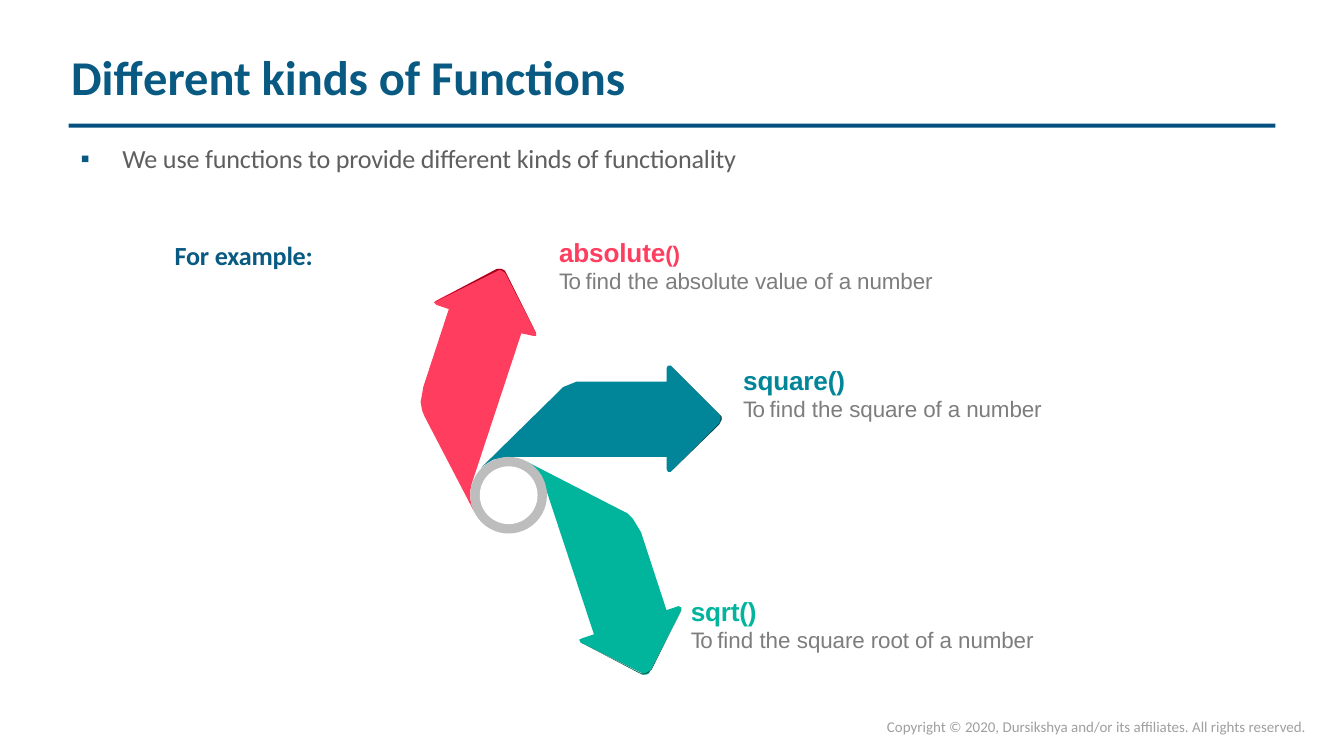
from lxml import etree
from pptx import Presentation, util as u
from pptx.dml.color import RGBColor
from pptx.enum import shapes, text
from pptx.oxml import ns

PX = 9144  # EMU in a px, 100 px to the inch
THEME = dict(
    navy="095A82", rule="045180", body="5F5F5F", note="7D7D7D", foot="9F9F9F",
    teal="008599", red="FF3D5F", green="00B59C",
    teal_edge="00424D", red_edge="9F001A", green_edge="005B4E",
    ring="BDBDBD", white="FFFFFF",
    title=26, head=14, small=12, tiny=8,
)

deck = Presentation()
deck.slide_width = 1000 * PX
deck.slide_height = deck.slide_width * 9 // 16
slide = deck.slides.add_slide(deck.slide_layouts[6])


def paint(shape, tone):
    shape.shadow.inherit = False
    shape.fill.solid()
    shape.fill.fore_color.rgb = RGBColor.from_string(THEME[tone])
    shape.line.fill.background()


def write(words, *, at=None, para=None, size="head", tone="navy", bold=False,
          face="Calibri", track=-10, lead=None, left=2, top=2):
    """Add a run to para, or to a new text box at (left, top, width, height)."""
    if para is None:
        frame = slide.shapes.add_textbox(*(n * PX for n in at)).text_frame
        frame.word_wrap = True
        frame.vertical_anchor = text.MSO_ANCHOR.TOP
        frame.margin_right = frame.margin_bottom = 0
        frame.margin_left, frame.margin_top = left * PX, top * PX
        para = frame.paragraphs[0]
    if lead:
        para.line_spacing = u.Pt(lead)
    run = para.add_run()
    run.text = words
    font = run.font
    font.name, font.size, font.bold = face, u.Pt(THEME[size]), bold
    font.color.rgb = RGBColor.from_string(THEME[tone])
    font._element.set("spc", str(track))
    return para


# Heading, rule and lead-in
write("Different kinds of Functions", at=(51, 33, 419, 46), size="title",
      bold=True, track=-5)
rule = slide.shapes.add_shape(
    shapes.MSO_SHAPE.RECTANGLE, 51 * PX, 92 * PX, 898 * PX, 3 * PX)
paint(rule, "rule")

point = write("We use functions to provide different kinds of functionality",
              at=(58, 105, 495, 26), tone="body", left=0, top=1)
props = point._p.get_or_add_pPr()
props.set("marL", str(33 * PX))
props.set("indent", str(-31 * PX))
tint = etree.SubElement(props, ns.qn("a:buClr"))
etree.SubElement(tint, ns.qn("a:srgbClr"), val=THEME["navy"])
etree.SubElement(props, ns.qn("a:buFont"), typeface="Arial")
etree.SubElement(props, ns.qn("a:buChar"), char="▪")
write("For example:", at=(128, 176, 107, 26), bold=True)

# Arrows, each followed by its dark edge
arrows = [
    ("teal", [(499, 272), (497, 272), (496, 274), (496, 284), (435, 284), (429, 284),
              (424, 286), (419, 288), (415, 292), (358, 348), (362, 345), (367, 342),
              (373, 341), (378, 340), (496, 340), (496, 349), (497, 351), (499, 351),
              (535, 315), (537, 312), (536, 310), (535, 308)]),
    ("teal_edge", [(499, 272), (535, 308), (536, 310), (536, 313), (535, 315),
                   (499, 351), (535, 316), (537, 312), (537, 310), (535, 308)]),
    ("red", [(371, 200), (370, 200), (324, 224), (323, 225), (325, 227), (334, 230),
             (315, 288), (314, 294), (313, 299), (314, 305), (316, 310), (353, 381),
             (351, 376), (350, 371), (350, 365), (351, 360), (388, 248), (397, 250),
             (399, 250), (399, 248), (376, 202), (375, 201), (373, 200)]),
    ("red_edge", [(372, 200), (370, 200), (325, 224), (371, 201), (373, 201),
                  (376, 203), (399, 248), (376, 202), (375, 201), (373, 200)]),
    ("green", [(391, 343), (396, 346), (400, 350), (403, 354), (405, 360), (442, 472),
               (433, 475), (431, 476), (432, 478), (478, 501), (479, 502), (481, 502),
               (483, 501), (484, 499), (507, 454), (507, 452), (505, 451), (496, 454),
               (477, 396), (474, 391), (471, 386), (467, 382), (463, 380)]),
    ("green_edge", [(507, 454), (484, 499), (480, 501), (477, 501), (432, 478),
                    (474, 500), (478, 502), (482, 501), (485, 498)]),
]
for tone, dots in arrows:
    pen = slide.shapes.build_freeform(*dots[0], scale=PX)
    pen.add_line_segments(dots[1:], close=True)
    paint(pen.convert_to_shape(), tone)

# Hub
for tone, left, top, side in (("ring", 350, 340, 57), ("white", 357, 347, 43)):
    hub = slide.shapes.add_shape(
        shapes.MSO_SHAPE.OVAL, left * PX, top * PX, side * PX, side * PX)
    paint(hub, tone)

# Function names and what they do
labels = [
    ("absolute", "small", "absolute value of a number", "red", (414, 176, 283, 44)),
    ("square", "head", "square of a number", "teal", (551, 271, 227, 45)),
    ("sqrt", "head", "square root of a number", "green", (512, 443, 260, 44)),
]
for name, size, goal, tone, at in labels:
    look = dict(tone=tone, bold=True, face="Arial")
    head = write(name, at=at, lead=16.2, top=1, **look)
    write("()", para=head, size=size, **look)
    look = dict(size="small", tone="note", face="Arial")
    line = slide.shapes[-1].text_frame.add_paragraph()
    write("To ", para=line, track=-90, lead=13.8, **look)
    write("find the ", para=line, track=0, **look)
    write(goal, para=line, track=-5, **look)

write("Copyright © 2020, Dursikshya and/or its affiliates. All rights reserved.",
      at=(658, 535, 323, 14), size="tiny", tone="foot", track=0, lead=8.7, top=0)

deck.save("out.pptx")
